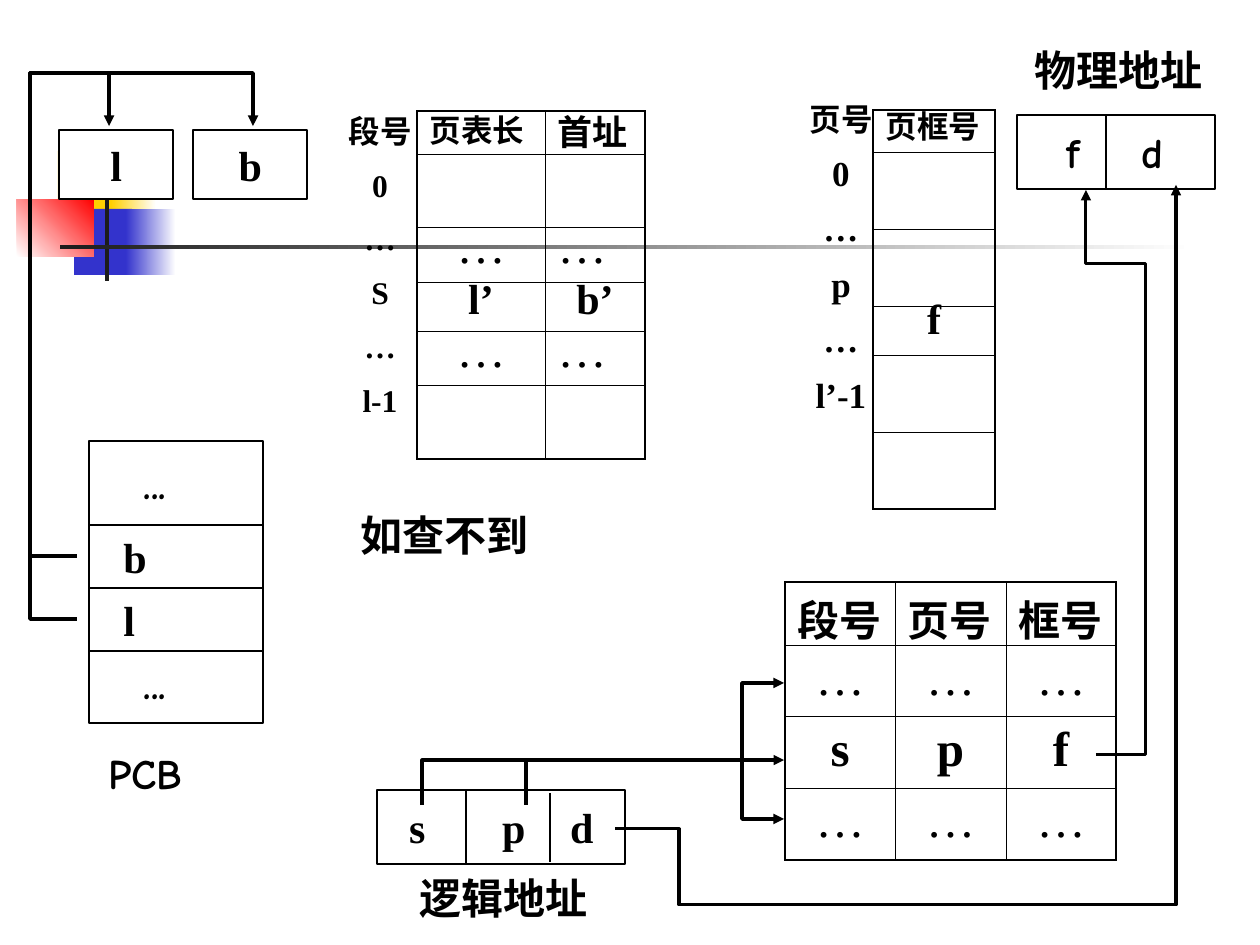
import pptx
import pptx.util
import pptx.dml.color
import pptx.enum.shapes
import pptx.enum.text
from lxml import etree
from pptx.oxml.ns import qn

RGB = pptx.dml.color.RGBColor
BLACK, WHITE = RGB(0, 0, 0), RGB(255, 255, 255)
GOLD, BLUE = RGB(0xFF, 0xCF, 0x01), RGB(0x33, 0x33, 0xCC)
RED, DARK = RGB(255, 0, 0), RGB(0x1C, 0x1C, 0x1C)
TIMES, COMIC, ROBOTO = "Times New Roman", "Comic Neue", "Roboto"
RECT = pptx.enum.shapes.MSO_SHAPE.RECTANGLE
LINE = pptx.enum.shapes.MSO_CONNECTOR.STRAIGHT
MID = pptx.enum.text.MSO_ANCHOR.MIDDLE
LEFT, CENTER = pptx.enum.text.PP_ALIGN.LEFT, pptx.enum.text.PP_ALIGN.CENTER
SCALE = 914400 / 126
THICK, THIN = 1.08, 0.45

# place, first colour, last colour (None if plain), angle
DECOR = [
    ((58, 151, 60, 66), GOLD, None, 0),
    ((111, 151, 45, 66), GOLD, WHITE, 0),
    ((74, 209, 58, 66), BLUE, None, 0),
    ((126, 209, 50, 66), BLUE, WHITE, 0),
    ((17, 199, 77, 58), WHITE, RED, 45),
    ((105, 136, 4, 145), DARK, None, 0),
    ((60, 245, 1134, 4), DARK, WHITE, 0),
]
# place, line width, text, size, font, left inset, tab stops
BOXES = [
    ((59, 130, 114, 69), 1.25, "l", 24, TIMES, 13, []),
    ((193, 130, 114, 69), 1.25, "b", 24, TIMES, 13, []),
    ((89, 441, 174, 282), 0.75, "", 24, TIMES, 13, []),
    ((1017, 115, 198, 74), 1.25, "f\td", 24, COMIC, 50, [75]),
    ((377, 790, 248, 74), 1.25, "s\tp\td", 24, TIMES, 32, [93, 161]),
]
# place, text, font
LABELS = [
    ((131, 451, 105, 63), "...", COMIC),
    ((111, 525, 116, 63), "b", TIMES),
    ((111, 588, 116, 63), "l", TIMES),
    ((131, 651, 105, 63), "...", COMIC),
    ((96, 741, 126, 63), "PCB", COMIC),
    ((1022, 38, 218, 63), "物理地址", TIMES),
    ((407, 866, 210, 63), "逻辑地址", TIMES),
    ((348, 503, 238, 63), "如查不到", ROBOTO),
]
# place, lines, size, line spacing, space before
LISTS = [
    ((333, 110, 94, 315), ["段号", "0", "…", "S", "…", "l-1"], 18, 0.9, 11.25),
    ((794, 101, 94, 329), ["页号", "0", "…", "p", "…", "l’-1"], 20, 0.8, 12.5),
]
# left, top, column widths, row heights, line spacing, mark size, head sizes, rows
TABLES = [
    (417, 111, [128, 100], [43, 73, 55, 49, 55, 73], 0.7, 24, [18, 20],
     [["页表长", "首址"], ["", ""], ["…", "…"], ["l’", "b’"], ["…", "…"], ["", ""]]),
    (873, 110, [122], [42, 77, 77, 49, 77, 77], 0.6, 24, [18],
     [["页框号"], [""], [""], ["f"], [""], [""]]),
    (785, 582, [110, 111, 110], [63, 71, 71, 72], 1.0, 28, [24, 24, 24],
     [["段号", "页号", "框号"], ["…"] * 3, ["s", "p", "f"], ["…"] * 3]),
]
RULES = [
    ((466, 790), (466, 864), 0.75),
    ((550, 793), (550, 862), 0.75),
    ((1106, 115), (1106, 190), 0.75),
    ((526, 805), (526, 760), 1.75),
] + [((89, y), (263, y), 0.75) for y in (525, 588, 651)]
# points, width, arrow at both ends
ROUTES = [
    ([(77, 556), (30, 556), (30, 73), (253, 73), (253, 126)], 2, False),
    ([(77, 619), (30, 619), (30, 73), (109, 73), (109, 126)], 2, False),
    ([(784, 683), (742, 683), (742, 819), (784, 819)], 2, True),
    ([(422, 805), (422, 760), (784, 760)], 1.75, False),
    ([(1096, 755), (1146, 755), (1146, 264), (1086, 264), (1086, 190)], 1.75, False),
    ([(615, 829), (679, 829), (679, 905), (1176, 905), (1176, 185)], 1.75, False),
]


def px(num):
    return round(num * SCALE)


def write(frame, text, size, font, align=LEFT, space=1.0, before=0, bold=True):
    frame.text = text
    for i, para in enumerate(frame.paragraphs):
        para.alignment = align
        para.line_spacing = space
        if i and before:
            para.space_before = pptx.util.Pt(before)
        for run in para.runs:
            face = run.font
            face.size, face.name, face.bold = pptx.util.Pt(size), font, bold
            face.color.rgb = BLACK


def stroke(line, width):
    line.color.rgb = BLACK
    line.width = pptx.util.Pt(width)


def rect(place):
    shape = slide.shapes.add_shape(RECT, *map(px, place))
    shape.shadow.inherit = False
    return shape


def label(place):
    frame = slide.shapes.add_textbox(*map(px, place)).text_frame
    frame.word_wrap = True
    return frame


def border(cell, sides):
    props = cell._tc.get_or_add_tcPr()
    for i, (side, width) in enumerate(sides):
        line = etree.Element(qn("a:ln" + side), w=str(round(width * 12700)))
        fill = etree.SubElement(line, qn("a:solidFill"))
        etree.SubElement(fill, qn("a:srgbClr"), val=str(BLACK))
        props.insert(i, line)


def grid(left, top, cols, rows, space, mark, heads, data):
    place = (left, top, sum(cols), sum(rows))
    table = slide.shapes.add_table(len(rows), len(cols), *map(px, place)).table
    table.first_row = table.horz_banding = False
    for col, wide in zip(table.columns, cols):
        col.width = px(wide)
    for r, tall in enumerate(rows):
        table.rows[r].height = px(tall)
        for c, text in enumerate(data[r]):
            cell = table.cell(r, c)
            cell.margin_left = cell.margin_right = px(12.6)
            cell.margin_top = cell.margin_bottom = px(6.3)
            cell.fill.background()
            dots = text == "…"
            if r == 0:
                write(cell.text_frame, text, heads[c], ROBOTO, LEFT, space)
            else:
                align = LEFT if dots and len(cols) == 2 and c else CENTER
                write(cell.text_frame, text, 28 if dots else mark, TIMES,
                      align, space, bold=not dots)
            edges = [("L", c == 0), ("R", c == len(cols) - 1),
                     ("T", r == 0), ("B", r == len(rows) - 1)]
            border(cell, [(s, THICK if out else THIN) for s, out in edges])


def route(points, width, both):
    """Draw a bent line with arrowheads."""
    spots = [(px(x), px(y)) for x, y in points]
    build = slide.shapes.build_freeform(*spots[0])
    build.add_line_segments(spots[1:], close=False)
    shape = build.convert_to_shape()
    shape.shadow.inherit = False
    shape.fill.background()
    stroke(shape.line, width)
    for end in ["headEnd", "tailEnd"] if both else ["tailEnd"]:
        etree.SubElement(shape.line._get_or_add_ln(), qn("a:" + end), type="triangle")


deck = pptx.Presentation()
deck.slide_width, deck.slide_height = px(1260), px(945)
slide = deck.slides.add_slide(deck.slide_layouts[6])

for place, first, last, angle in DECOR:
    shape = rect(place)
    shape.line.fill.background()
    if last is None:
        shape.fill.solid()
        shape.fill.fore_color.rgb = first
    else:
        shape.fill.gradient()
        shape.fill.gradient_angle = angle
        for stop, color in zip(shape.fill.gradient_stops, (first, last)):
            stop.color.rgb = color

for place, width, text, size, font, inset, tabs in BOXES:
    shape = rect(place)
    shape.fill.solid()
    shape.fill.fore_color.rgb = WHITE
    stroke(shape.line, width)
    if not text:
        continue
    frame = shape.text_frame
    frame.vertical_anchor = MID
    frame.margin_left = px(inset)
    write(frame, text, size, font, LEFT if tabs else CENTER)
    if tabs:
        stops = etree.SubElement(frame.paragraphs[0]._p.get_or_add_pPr(), qn("a:tabLst"))
        for tab in tabs:
            etree.SubElement(stops, qn("a:tab"), pos=str(px(tab)), algn="l")
        frame.paragraphs[0].runs[0].font.size = pptx.util.Pt(size)

for place, text, font in LABELS:
    write(label(place), text, 24, font)

for place, lines, size, space, before in LISTS:
    frame = label(place)
    write(frame, "\n".join(lines), size, TIMES, CENTER, space, before)
    frame.paragraphs[0].runs[0].font.size = pptx.util.Pt(18)

for table in TABLES:
    grid(*table)

for start, end, width in RULES:
    line = slide.shapes.add_connector(LINE, *map(px, start + end))
    stroke(line.line, width)
    etree.SubElement(line._element.spPr, qn("a:effectLst"))

for points, width, both in ROUTES:
    route(points, width, both)

deck.save("out.pptx")
